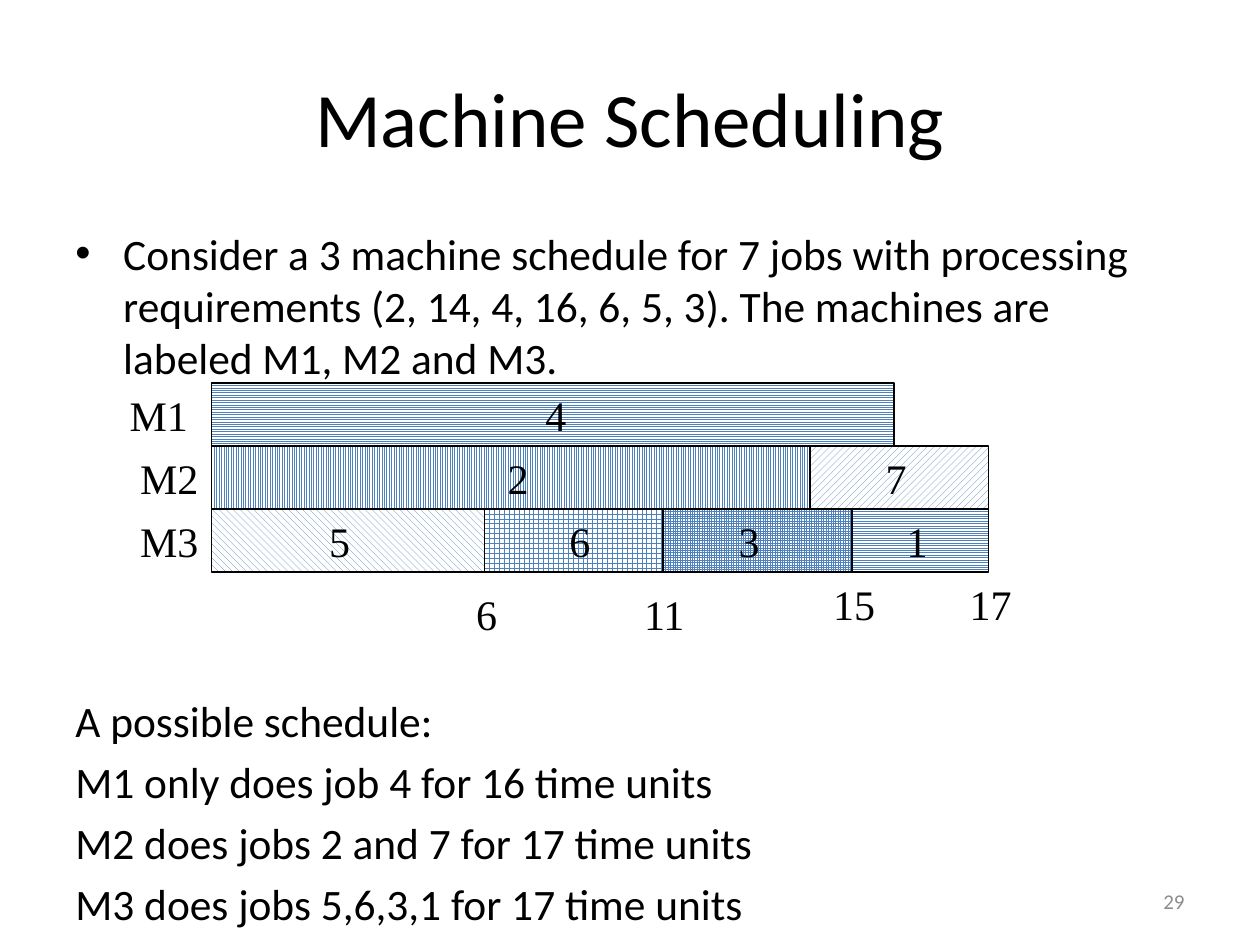
from lxml import etree
from pptx import Presentation, util as u
from pptx.dml.color import RGBColor
from pptx.enum import dml, shapes, text
from pptx.oxml.ns import qn

COLORS = {"text": "000000", "muted": "8C8C8C", "hatch": "4F81BD", "paper": "FFFFFF"}
W, H = 10, 7.5
LEFT, TOP, COL, ROW = 1.68, 3.04, 1 / 12, 0.5
PAT = dml.MSO_PATTERN

BARS = [
    (0, 0, 65, PAT.LIGHT_HORIZONTAL),
    (0, 1, 57, PAT.LIGHT_VERTICAL),
    (0, 2, 26, PAT.WIDE_DOWNWARD_DIAGONAL),
    (57, 1, 17, PAT.WIDE_UPWARD_DIAGONAL),
    (26, 2, 17.5, PAT.LARGE_GRID),
    (43, 2, 18.5, PAT.SMALL_GRID),
    (61, 2, 13, PAT.LIGHT_HORIZONTAL),
]
JOBS = [("4", 30.6, 0), ("2", 27, 1), ("7", 63, 1), ("6", 32.9, 2),
        ("5", 10, 2), ("3", 49, 2), ("1", 65, 2)]
TIMES = [("6", 24, 3.16), ("11", 40, 3.16), ("15", 58, 3), ("17", 71, 3)]
MACHINES = [("M1", -9, 0), ("M2", -8, 1), ("M3", -8, 2)]
LABELS = [(JOBS, 0.37), (TIMES[:1], 0.37), (TIMES[1:], 0.53), (MACHINES, 0.66)]

INTRO = ("Consider a 3 machine schedule for 7 jobs with processing requirements "
         "(2, 14, 4, 16, 6, 5, 3). The machines are labeled M1, M2 and M3.")
SCHEDULE = [
    "A possible schedule:",
    "M1 only does job 4 for 16 time units",
    "M2 does jobs 2 and 7 for 17 time units",
    "M3 does jobs 5,6,3,1 for 17 time units",
]


def rgb(name):
    return RGBColor.from_string(COLORS[name])


def box(x, y, w, h):
    return [u.Inches(v) for v in (x, y, w, h)]


def write(p, words, size, font="Calibri", color="text"):
    p.text = words
    f = p.runs[0].font
    f.size, f.name = u.Pt(size), font
    f.color.rgb = rgb(color)


def add_title(s, words):
    sp = s.shapes.title
    sp.left, sp.top, sp.width, sp.height = box(W * 0.05, H * 0.04, W * 0.9, 1.25)
    tf = sp.text_frame
    tf.vertical_anchor = text.MSO_ANCHOR.MIDDLE
    write(tf.paragraphs[0], words, 44)
    tf.paragraphs[0].alignment = text.PP_ALIGN.CENTER


def add_bullet(p):
    pPr = p._p.get_or_add_pPr()
    pPr.set("marL", str(u.Inches(0.38)))
    pPr.set("indent", str(u.Inches(-0.38)))
    etree.SubElement(pPr, qn("a:buFont"), typeface="Arial")
    etree.SubElement(pPr, qn("a:buChar"), char="•")


def add_body(s):
    tf = s.shapes.add_textbox(*box(W * 0.05, 1.75, W * 0.9, H * 0.66)).text_frame
    tf.word_wrap = True
    for i, words in enumerate([INTRO] + SCHEDULE):
        p = tf.paragraphs[0] if i == 0 else tf.add_paragraph()
        write(p, words, 24.8)
        p.space_before = u.Pt(178 if i == 1 else 5)
    add_bullet(tf.paragraphs[0])


def add_number(s, words):
    tf = s.shapes.add_textbox(*box(7.17, 6.95, 2.33, 0.4)).text_frame
    tf.word_wrap = True
    tf.vertical_anchor = text.MSO_ANCHOR.MIDDLE
    write(tf.paragraphs[0], words, 12, color="muted")
    tf.paragraphs[0].alignment = text.PP_ALIGN.RIGHT


def add_bar(grp, col, row, span, pattern):
    at = box(LEFT + col * COL, TOP + row * ROW, span * COL, ROW)
    sp = grp.shapes.add_shape(shapes.MSO_SHAPE.RECTANGLE, *at)
    sp.shadow.inherit = False
    sp.fill.patterned()
    sp.fill.pattern = pattern
    sp.fill.fore_color.rgb = rgb("hatch")
    sp.fill.back_color.rgb = rgb("paper")
    sp.line.color.rgb = rgb("text")
    sp.line.width = u.Pt(0.75)


def add_label(grp, words, col, row, width):
    at = box(LEFT + col * COL, TOP + row * ROW, width, ROW)
    tf = grp.shapes.add_textbox(*at).text_frame
    tf.word_wrap = False
    tf.auto_size = text.MSO_AUTO_SIZE.SHAPE_TO_FIT_TEXT
    write(tf.paragraphs[0], words, 24, "Times New Roman")


def main():
    prs = Presentation()
    prs.slide_width, prs.slide_height = u.Inches(W), u.Inches(H)
    s = prs.slides.add_slide(prs.slide_layouts[5])
    add_title(s, "Machine Scheduling")
    add_body(s)
    add_number(s, "29")
    grp = s.shapes.add_group_shape()
    for bar in BARS:
        add_bar(grp, *bar)
    for labels, width in LABELS:
        for label in labels:
            add_label(grp, *label, width)
    prs.save("out.pptx")


if __name__ == "__main__":
    main()
